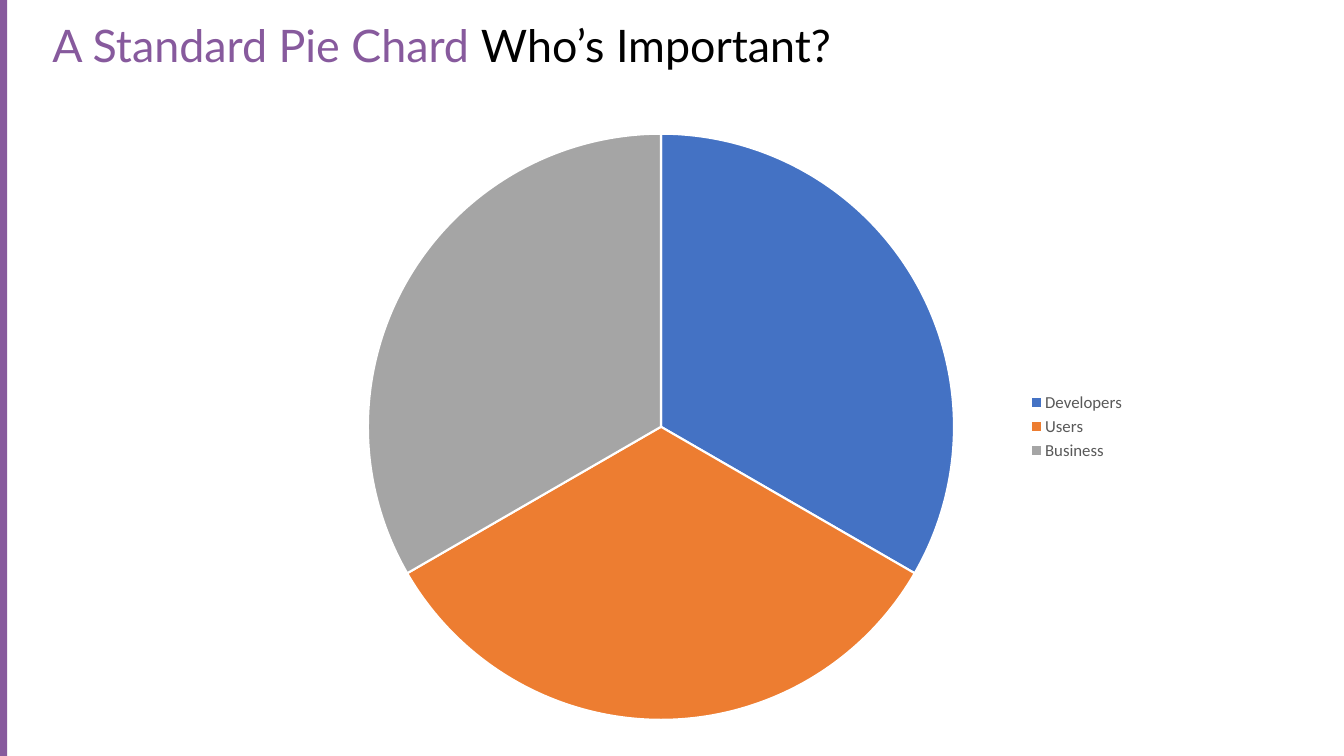
from pptx import Presentation
from pptx import util as u
from pptx.chart.data import CategoryChartData
from pptx.dml.color import RGBColor
from pptx.enum import chart as kinds, shapes, text

HUES = {"plum": "875A9D", "black": "000000", "white": "FFFFFF", "grey": "595959"}
TITLE = [("A Standard Pie Chard ", "plum"), ("Who’s Important?", "black")]
SLICES = [("Developers", 33, "4472C4"), ("Users", 33, "ED7D31"), ("Business", 33, "A5A5A5")]
WIDE, HIGH = u.Cm(33.87), u.Cm(19.05)


def paint(fill, hue):
    fill.solid()
    fill.fore_color.rgb = RGBColor.from_string(hue)


deck = Presentation()
deck.slide_width, deck.slide_height = WIDE, HIGH
slide = deck.slides.add_slide(deck.slide_layouts[6])

left = u.Cm(1.07)
box = slide.shapes.add_textbox(left, 0, WIDE - left, u.Cm(2.41))
frame = box.text_frame
frame.word_wrap = True
frame.vertical_anchor = text.MSO_ANCHOR.MIDDLE
title = frame.paragraphs[0]
title.line_spacing = 0.9
title.space_before = u.Pt(10)
title.font.name, title.font.size = "Lato", u.Pt(32)
for words, hue in TITLE:
    run = title.add_run()
    run.text = words
    run.font.color.rgb = RGBColor.from_string(HUES[hue])

band = slide.shapes.add_shape(shapes.MSO_SHAPE.RECTANGLE, 0, 0, u.Cm(0.18), HIGH)
band.shadow.inherit = False
paint(band.fill, HUES["plum"])
band.line.fill.background()

data = CategoryChartData()
data.categories = [name for name, _, _ in SLICES]
data.add_series("Series 1", [value for _, value, _ in SLICES])
pie = slide.shapes.add_chart(
    kinds.XL_CHART_TYPE.PIE, u.Cm(7.47), u.Cm(3.02), u.Cm(21.16), u.Cm(15.47), data
).chart
pie.has_title = False
pie.font.name, pie.font.size = "Calibri", u.Pt(10)
pie.font.color.rgb = RGBColor.from_string(HUES["black"])
pie.has_legend = True
key = pie.legend
key.position = kinds.XL_LEGEND_POSITION.RIGHT
key.include_in_layout = False
key.font.name, key.font.size = "Calibri", u.Pt(12)
key.font.color.rgb = RGBColor.from_string(HUES["grey"])

plot = pie.plots[0]
plot.vary_by_categories = True
for spot, (_, _, hue) in enumerate(SLICES):
    style = plot.series[0].points[spot].format
    paint(style.fill, hue)
    paint(style.line.fill, HUES["white"])
    style.line.width = u.Pt(1.5)

deck.save("out.pptx")
